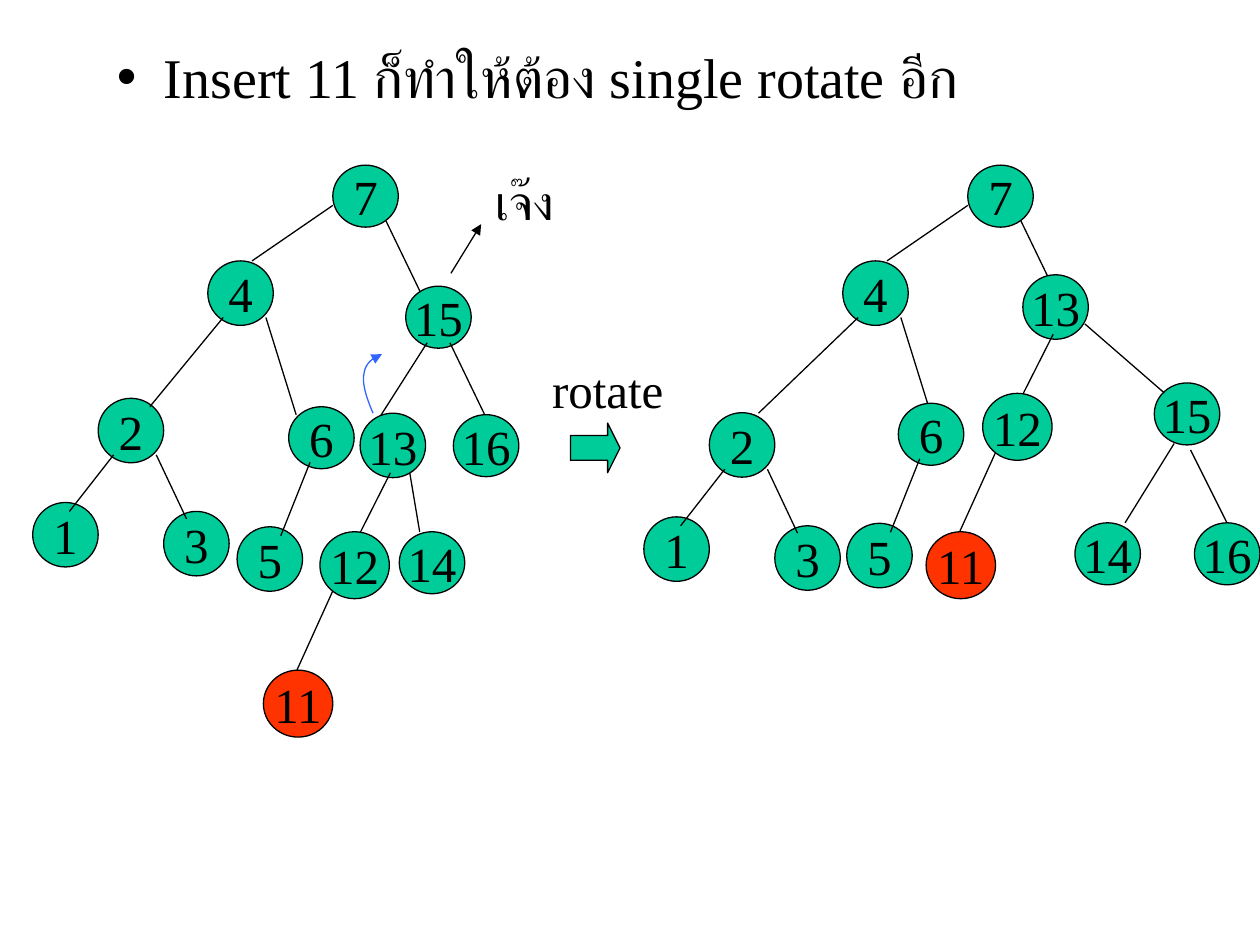
from dataclasses import dataclass

from lxml import etree
from pptx import Presentation
from pptx.dml.color import RGBColor
from pptx.enum.shapes import MSO_CONNECTOR, MSO_SHAPE
from pptx.enum.text import MSO_ANCHOR, MSO_AUTO_SIZE, PP_ALIGN
from pptx.oxml.ns import qn
from pptx.util import Cm, Pt

OVAL, ARROW = MSO_SHAPE.OVAL, MSO_SHAPE.RIGHT_ARROW
LINE = MSO_CONNECTOR.STRAIGHT
CENTER, MIDDLE = PP_ALIGN.CENTER, MSO_ANCHOR.MIDDLE
NO_FIT, GROW = MSO_AUTO_SIZE.NONE, MSO_AUTO_SIZE.SHAPE_TO_FIT_TEXT

BLACK = RGBColor(0x00, 0x00, 0x00)
GREEN = RGBColor(0x00, 0xCC, 0x99)
RED = RGBColor(0xFF, 0x33, 0x00)
BLUE = RGBColor(0x33, 0x66, 0xFF)
FONT = "Times New Roman"
THIN = Pt(0.75)

# Node sizes in cm
TALL, FLAT, BIG = (1.32, 1.3), (1.32, 1.25), (1.4, 1.35)


@dataclass(frozen=True)
class Node:
    key: str
    x: float
    y: float
    size: tuple[float, float] = TALL
    fill: RGBColor = GREEN


@dataclass(frozen=True)
class Edge:
    x1: float
    y1: float
    x2: float
    y2: float


@dataclass(frozen=True)
class Label:
    text: str
    x: float
    y: float
    width: float


# Subtrees found in both trees, placed as in the left one
TWO = (
    Node("3", 3.3, 10.31), Node("2", 1.98, 8.03), Node("1", 0.66, 10.13),
    Edge(2.29, 9.17, 1.4, 10.31), Edge(3.15, 9.17, 3.76, 10.46),
)
CROWN = (
    Node("4", 4.19, 5.26),
    Edge(5.08, 5.26, 6.71, 4.14),
    Edge(5.36, 6.4, 5.97, 8.36),
    Edge(7.75, 4.39, 8.61, 6.17),
    Node("7", 6.71, 3.33, FLAT),
)
SIX = (
    Node("5", 4.78, 10.62), Node("6", 5.82, 8.2, FLAT),
    Edge(6.25, 9.32, 5.66, 10.8),
)
CHAIN = (
    Node("13", 7.26, 8.33),
    Edge(7.87, 9.53, 6.86, 11.53),
    Node("12", 6.45, 10.72, BIG),
    Edge(6.71, 11.91, 5.89, 13.72),
    Node("11", 5.31, 13.51, BIG, RED),
)
# Subtrees of 15, and the edge from 4 to 2, before and after rotation
BEFORE = (
    Edge(4.5, 6.4, 3.02, 8.2),
    Node("15", 8.18, 5.77, FLAT),
    Edge(9.07, 6.91, 9.93, 8.69),
    Node("16", 9.14, 8.36, FLAT),
    Edge(8.61, 6.91, 7.59, 8.51),
    Node("14", 8.05, 10.72, FLAT),
    Edge(8.26, 9.53, 8.46, 10.72),
)
AFTER = (
    Edge(17.3, 6.4, 15.29, 8.33),
    Node("15", 23.27, 7.72, FLAT),
    Edge(24, 9.07, 24.89, 10.85),
    Node("16", 24.08, 10.54, FLAT),
    Edge(23.47, 7.92, 21.87, 6.53),
    Node("14", 21.67, 10.54, FLAT),
    Edge(23.67, 8.94, 22.68, 10.54),
)
# Each part with its shift right and down
LEFT = ((TWO, 0, 0), (CROWN, 0, 0), (SIX, 0, 0), (BEFORE, 0, 0), (CHAIN, 0, 0))
RIGHT = (
    (TWO, 12.32, 0.29), (CROWN, 12.8, 0), (SIX, 12.29, -0.07),
    (AFTER, 0, 0), (CHAIN, 13.36, -2.79),
)
LABELS = (Label("เจ๊ง", 9.73, 3.33, 1.68), Label("rotate", 10.88, 7.12, 2.8))
# Two cubic curves, end to end
BEND = (
    ((7.52, 8.33), (7.39, 8.03), (7.29, 7.72), (7.34, 7.52)),
    ((7.34, 7.52), (7.37, 7.32), (7.52, 7.21), (7.7, 7.14)),
)


def write(para, text: str, size: float) -> None:
    run = para.add_run()
    run.text = text
    run.font.size = Pt(size)
    run.font.color.rgb = BLACK
    run.font.name = FONT
    # Thai letters take the complex-script font
    etree.SubElement(run.font._element, qn("a:cs")).set("typeface", FONT)


def paint(shape, fill: RGBColor) -> None:
    shape.shadow.inherit = False
    shape.fill.solid()
    shape.fill.fore_color.rgb = fill
    shape.line.color.rgb = BLACK
    shape.line.width = THIN


def add_head(line) -> None:
    tail = etree.SubElement(line.line._get_or_add_ln(), qn("a:tailEnd"))
    tail.set("type", "triangle")


def draw_node(shapes, node: Node, dx: float, dy: float) -> None:
    oval = shapes.add_shape(OVAL, Cm(node.x + dx), Cm(node.y + dy), *map(Cm, node.size))
    paint(oval, node.fill)
    frame = oval.text_frame
    frame.word_wrap = False
    frame.vertical_anchor = MIDDLE
    para = frame.paragraphs[0]
    para.alignment = CENTER
    write(para, node.key, 28)


def draw_edge(shapes, edge: Edge, dx: float = 0, dy: float = 0):
    line = shapes.add_connector(
        LINE, Cm(edge.x1 + dx), Cm(edge.y1 + dy), Cm(edge.x2 + dx), Cm(edge.y2 + dy)
    )
    line.line.color.rgb = BLACK
    line.line.width = THIN
    etree.SubElement(line._element.spPr, qn("a:effectLst"))
    return line


def draw_tree(shapes, parts: tuple) -> None:
    for part, dx, dy in parts:
        for item in part:
            draw = draw_node if isinstance(item, Node) else draw_edge
            draw(shapes, item, dx, dy)


def draw_label(shapes, label: Label) -> None:
    box = shapes.add_textbox(Cm(label.x), Cm(label.y), Cm(label.width), Cm(1.45))
    box.text_frame.word_wrap = False
    box.text_frame.auto_size = GROW
    write(box.text_frame.paragraphs[0], label.text, 28)


def draw_bend(shapes, steps: int = 12) -> None:
    """Trace the cubic curves with short lines."""
    points = []
    for curve in BEND:
        for step in range(1, steps + 1):
            t = step / steps
            parts = ((1 - t) ** 3, 3 * t * (1 - t) ** 2, 3 * t * t * (1 - t), t ** 3)
            points.append(tuple(
                Cm(sum(part * spot[axis] for part, spot in zip(parts, curve)))
                for axis in (0, 1)
            ))
    start = BEND[0][0]
    pen = shapes.build_freeform(Cm(start[0]), Cm(start[1]))
    pen.add_line_segments(points, close=False)
    bend = pen.convert_to_shape()
    bend.shadow.inherit = False
    bend.fill.background()
    bend.line.color.rgb = BLUE
    bend.line.width = THIN
    add_head(bend)


def fill_body(body) -> None:
    body.left, body.top, body.width, body.height = Cm(2.1), Cm(0.73), Cm(21.59), Cm(11.43)
    body.text_frame.auto_size = NO_FIT
    para = body.text_frame.paragraphs[0]
    para.space_before = Pt(8)
    props = para._p.get_or_add_pPr()
    props.set("marL", str(Cm(0.95)))
    props.set("indent", str(Cm(-0.95)))
    etree.SubElement(props, qn("a:buChar")).set("char", "•")
    write(para, "Insert 11 ก็ทำให้ต้อง single rotate อีก", 32)


def main() -> None:
    deck = Presentation()
    deck.slide_width, deck.slide_height = Cm(25.4), Cm(19.05)
    slide = deck.slides.add_slide(deck.slide_layouts[1])
    shapes = slide.shapes
    title = shapes.title._element
    title.getparent().remove(title)
    fill_body(slide.placeholders[1])
    draw_tree(shapes, LEFT)
    add_head(draw_edge(shapes, Edge(9.09, 5.51, 9.7, 4.52)))
    arrow = shapes.add_shape(ARROW, Cm(11.5), Cm(8.53), Cm(1), Cm(1))
    arrow.adjustments[1] = 0.25
    paint(arrow, GREEN)
    for label in LABELS:
        draw_label(shapes, label)
    draw_tree(shapes, RIGHT)
    draw_bend(shapes)
    deck.save("out.pptx")


if __name__ == "__main__":
    main()
